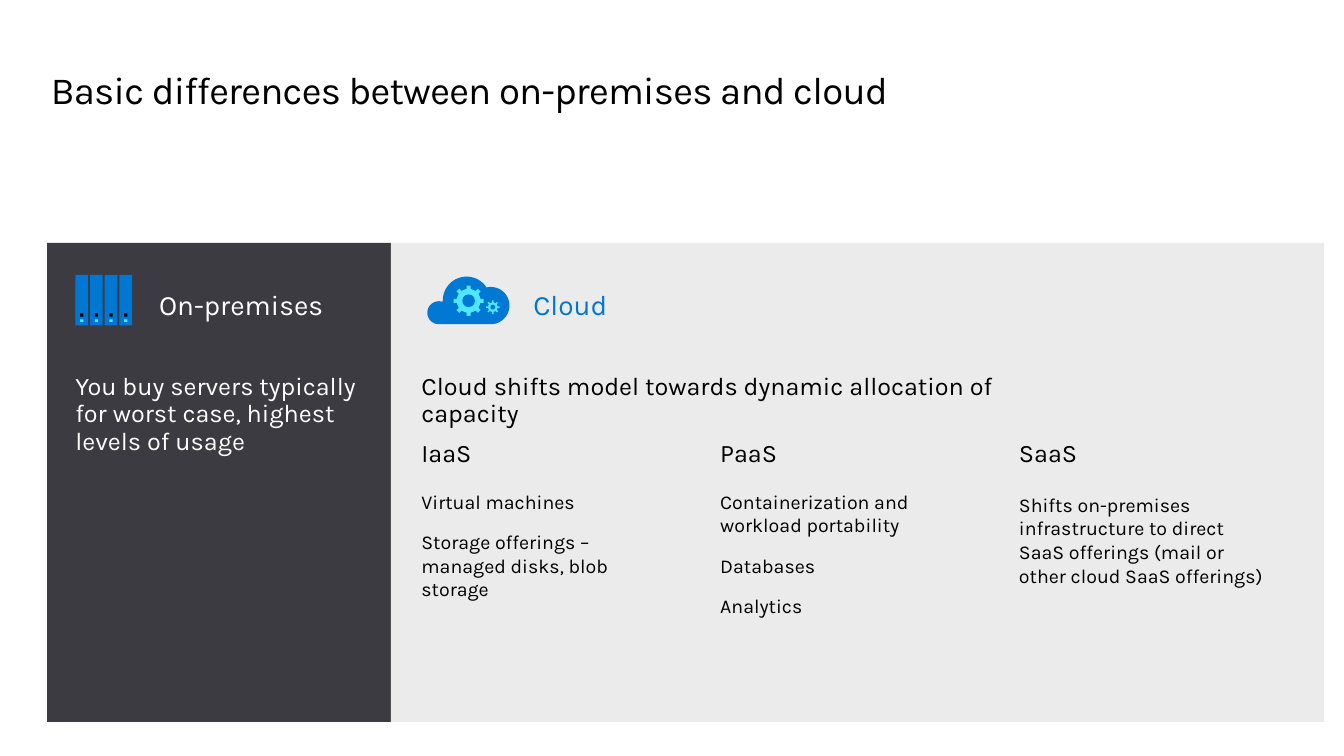
"""Build a slide comparing on-premises servers with cloud services."""
from dataclasses import dataclass
from math import cos, radians, sin

from pptx import Presentation
from pptx.dml.color import RGBColor
from pptx.enum import shapes, text
from pptx.util import Cm, Pt

BLACK = RGBColor(0x00, 0x00, 0x00)
WHITE = RGBColor(0xFF, 0xFF, 0xFF)
CHARCOAL = RGBColor(0x3B, 0x3B, 0x41)
PALE = RGBColor(0xEB, 0xEB, 0xEB)
BLUE = RGBColor(0x00, 0x78, 0xD3)
CLOUD_BLUE = RGBColor(0x00, 0x78, 0xD4)
CYAN = RGBColor(0x50, 0xE6, 0xFF)
FONT = "Karla"

Point = tuple[float, float]


@dataclass
class Label:
    left: float
    top: float
    width: float
    height: float
    lines: list[str]
    size: float
    color: RGBColor = BLACK
    spacing: float | Pt = 1.0
    after: float = 0
    tracking: int = 0


@dataclass
class Service:
    name: str
    details: list[str]
    top: float = 12.34
    width: float = 5.64
    height: float = 3.25


@dataclass
class Gear:
    x: float
    y: float
    tip: float
    body: float
    half_tooth: float
    hub: float


@dataclass
class Arc:
    x: float
    y: float
    radius: float
    start: int
    stop: int


LABELS = [
    Label(1.28, 1.73, 31.39, 1.11, ["Basic differences between on-premises and cloud"],
          27.4, spacing=Pt(31.4), tracking=-50),
    Label(4.01, 7.34, 6.95, 0.76, ["On-premises"], 20, WHITE, 0.9),
    Label(1.9, 9.42, 7.1, 2.08,
          ["You buy servers typically for worst case, highest levels of usage"],
          18, WHITE, 0.9),
    Label(13.44, 7.34, 2.97, 0.76, ["Cloud"], 20, BLUE, 0.9),
    Label(10.62, 9.42, 16.76, 0.69,
          ["Cloud shifts model towards dynamic allocation of capacity"], 18, spacing=0.9),
]
SERVICES = [
    Service("IaaS", ["Virtual machines",
                     "Storage offerings – managed disks, blob storage"]),
    Service("PaaS", ["Containerization and workload portability",
                     "Databases", "Analytics"]),
    Service("SaaS", ["Shifts on-premises infrastructure to direct SaaS offerings "
                     "(mail or other cloud SaaS offerings)"], 12.42, 6.4, 1.8),
]
SERVICE_LEFT, SERVICE_PITCH = 10.62, 7.53
CLOUD_ARCS = [Arc(11.06, 7.88, 0.29, 90, 288),
              Arc(11.76, 7.57, 0.6, 180, 328),
              Arc(12.37, 7.7, 0.47, 257, 450)]
GEARS = [Gear(11.81, 7.58, 0.38, 0.3, 0.05, 0.16),
         Gear(12.42, 7.74, 0.17, 0.12, 0.02, 0.06)]
SERVER_COUNT, SERVER_LEFT, SERVER_PITCH = 4, 1.9, 0.37


def paint(shape, color: RGBColor) -> None:
    """Give a shape a flat fill with no line or shadow."""
    shape.shadow.inherit = False
    shape.fill.solid()
    shape.fill.fore_color.rgb = color
    shape.line.fill.background()


def add_block(parent, left: float, top: float, width: float, height: float,
              color: RGBColor, kind=shapes.MSO_SHAPE.RECTANGLE) -> None:
    """Add a flat preset shape."""
    paint(parent.shapes.add_shape(kind, Cm(left), Cm(top), Cm(width), Cm(height)), color)


def add_outline(parent, points: list[Point], color: RGBColor) -> None:
    """Add a closed flat outline through the points."""
    corners = [(Cm(x), Cm(y)) for x, y in points]
    builder = parent.shapes.build_freeform(*corners[0])
    builder.add_line_segments(corners[1:], close=True)
    paint(builder.convert_to_shape(), color)


def add_label(page, label: Label) -> None:
    """Add a text box with one paragraph per line of the label."""
    box = page.shapes.add_textbox(Cm(label.left), Cm(label.top),
                                  Cm(label.width), Cm(label.height))
    frame = box.text_frame
    frame.word_wrap = True
    frame.vertical_anchor = text.MSO_ANCHOR.TOP
    frame.margin_left = frame.margin_right = 0
    frame.margin_top = frame.margin_bottom = 0
    for index, line in enumerate(label.lines):
        para = frame.paragraphs[0] if index == 0 else frame.add_paragraph()
        span = para.add_run()
        span.text = line
        if label.tracking:
            span.font._element.set("spc", str(label.tracking))
        para.line_spacing = label.spacing
        para.space_after = Pt(label.after)
        para.font.name = FONT
        para.font.size = Pt(label.size)
        para.font.color.rgb = label.color


def arc_points(arc: Arc) -> list[Point]:
    """Return points every few degrees along an arc."""
    steps = 24
    angles = [radians(arc.start + (arc.stop - arc.start) * step / steps)
              for step in range(steps + 1)]
    return [(arc.x + arc.radius * cos(angle), arc.y + arc.radius * sin(angle))
            for angle in angles]


def gear_points(gear: Gear) -> list[Point]:
    """Return the outline of a gear with eight square teeth."""
    tooth = [(gear.body, -gear.half_tooth), (gear.tip, -gear.half_tooth),
             (gear.tip, gear.half_tooth), (gear.body, gear.half_tooth),
             (gear.body * cos(radians(22.5)), gear.body * sin(radians(22.5)))]
    return [(gear.x + out * cos(turn) - side * sin(turn),
             gear.y + out * sin(turn) + side * cos(turn))
            for turn in (radians(45 * index) for index in range(8))
            for out, side in tooth]


def add_cloud(page) -> None:
    """Draw the cloud with its two gears."""
    cloud = page.shapes.add_group_shape()
    add_outline(cloud, [point for arc in CLOUD_ARCS for point in arc_points(arc)],
                CLOUD_BLUE)
    for gear in GEARS:
        add_outline(cloud, gear_points(gear), CYAN)
        add_block(cloud, gear.x - gear.hub, gear.y - gear.hub, 2 * gear.hub,
                  2 * gear.hub, CLOUD_BLUE, shapes.MSO_SHAPE.OVAL)


def add_servers(page) -> None:
    """Draw the row of servers."""
    rack = page.shapes.add_group_shape()
    for index in range(SERVER_COUNT):
        left = SERVER_LEFT + index * SERVER_PITCH
        add_block(rack, left, 6.93, 0.32, 1.27, BLUE)
        add_block(rack, left + 0.12, 7.9, 0.08, 0.08, BLACK)
        add_block(rack, left + 0.12, 8.05, 0.08, 0.06, CYAN)


def main() -> None:
    """Build and save the deck."""
    deck = Presentation()
    deck.slide_width, deck.slide_height = Cm(33.87), Cm(19.05)
    page = deck.slides.add_slide(deck.slide_layouts[6])
    add_block(page, 1.19, 6.12, 8.66, 12.07, CHARCOAL)
    add_block(page, 9.85, 6.12, 23.52, 12.07, PALE)
    for label in LABELS:
        add_label(page, label)
    add_cloud(page)
    add_servers(page)
    for index, service in enumerate(SERVICES):
        left = SERVICE_LEFT + index * SERVICE_PITCH
        add_label(page, Label(left, 11.02, 5.11, 0.76, [service.name], 18))
        add_label(page, Label(left, service.top, service.width, service.height,
                              service.details, 14, after=12))
    deck.save("out.pptx")


if __name__ == "__main__":
    main()
